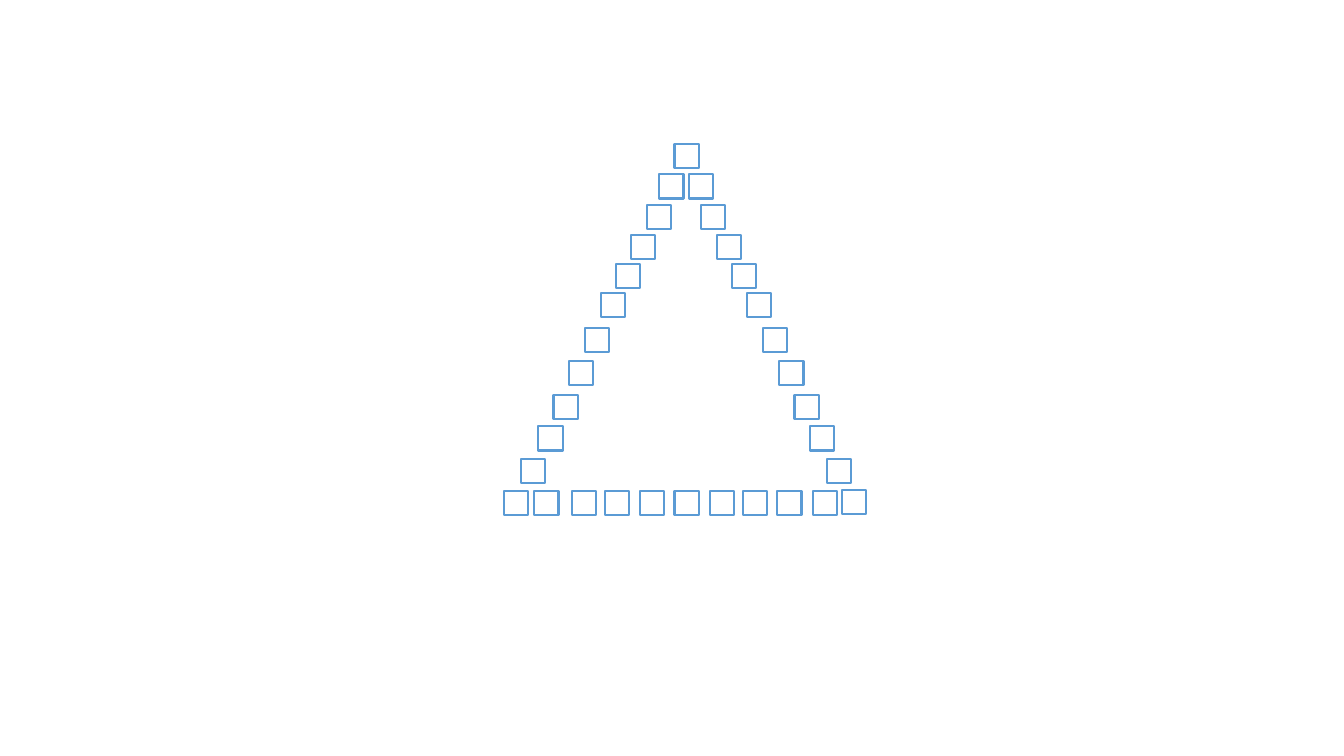
from pptx import Presentation
from pptx.dml.color import RGBColor
from pptx.enum.shapes import MSO_SHAPE
from pptx.util import Inches, Pt

RECT = MSO_SHAPE.RECTANGLE
BLUE = "5B9BD5"
SIDE = 0.24
MIRROR = 13.37  # sum of the left edges of two facing squares

APEX = (6.69, 1.43)
SLOPE = [(6.54, 1.73), (6.42, 2.03), (6.26, 2.33), (6.11, 2.62), (5.96, 2.91),
         (5.8, 3.25), (5.64, 3.58), (5.49, 3.92), (5.34, 4.23), (5.17, 4.55)]
BASE_TOP = 4.87
BASE = [5, 5.3, 5.67, 6, 6.35, 6.69, 7.04, 7.37, 7.71, 8.06]
CORNER = (8.35, 4.86)


def color(code):
    return RGBColor.from_string(code)


def add_square(group, left, top):
    box = group.shapes.add_shape(RECT, Inches(left), Inches(top),
                                 Inches(SIDE), Inches(SIDE))
    box.shadow.inherit = False
    box.fill.background()
    box.line.color.rgb = color(BLUE)
    box.line.width = Pt(1.5)


def main():
    deck = Presentation()
    deck.slide_width, deck.slide_height = Inches(13.33), Inches(7.5)
    slide = deck.slides.add_slide(deck.slide_layouts[6])

    base = [(left, BASE_TOP) for left in BASE]
    right = [(MIRROR - left, top) for left, top in SLOPE]
    group = slide.shapes.add_group_shape()
    for left, top in [*base, CORNER, APEX, *SLOPE, *right]:
        add_square(group, left, top)

    deck.save("out.pptx")


if __name__ == "__main__":
    main()
